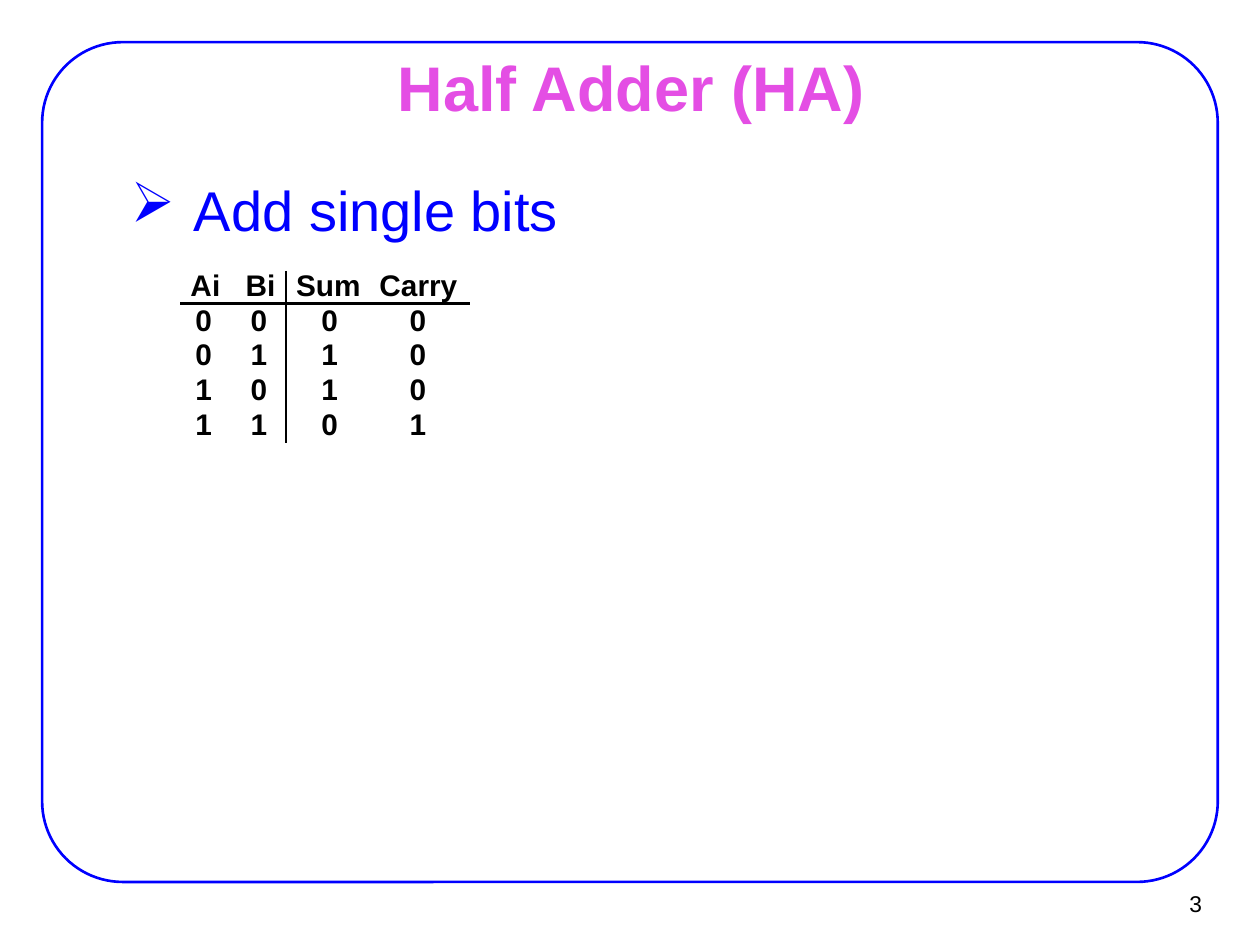
from lxml import etree
from pptx import Presentation
from pptx.dml.color import RGBColor
from pptx.enum import shapes, text
from pptx.oxml import ns
from pptx.util import Cm, Pt

BLUE = RGBColor(0x00, 0x00, 0xFF)
PINK = RGBColor(0xE4, 0x4E, 0xE4)
BLACK = RGBColor(0x00, 0x00, 0x00)
FONT = "Arial"

# Truth table: column edges and the indent of the digits in each column
COLUMN_EDGES = [3.84, 4.95, 5.97, 7.65, 9.47]
DIGIT_INDENTS = [0.1, 0.1, 0.51, 0.61]
TABLE_TOP = 5.43
ROW_HEIGHT = 0.7
ROWS = [
    ["Ai", "Bi", "Sum", "Carry"],
    ["0", "0", "0", "0"],
    ["0", "1", "1", "0"],
    ["1", "0", "1", "0"],
    ["1", "1", "0", "1"],
]


def add_span(para, words, size, color, bold=False):
    span = para.add_run()
    span.text = words
    span.font.name = FONT
    span.font.size = Pt(size)
    span.font.bold = bold
    span.font.color.rgb = color


def set_frame(frame, anchor, side=0.28, top=0.15):
    frame.word_wrap = True
    frame.auto_size = text.MSO_AUTO_SIZE.NONE
    frame.vertical_anchor = anchor
    frame.margin_left = frame.margin_right = Cm(side)
    frame.margin_top = frame.margin_bottom = Cm(top)


def add_border(page):
    border = page.shapes.add_shape(
        shapes.MSO_SHAPE.ROUNDED_RECTANGLE, Cm(0.85), Cm(0.85), Cm(23.7), Cm(16.93))
    border.adjustments[0] = 0.096
    border.shadow.inherit = False
    border.fill.background()
    border.line.color.rgb = BLUE
    border.line.width = Pt(1.5)


def add_title(page, words):
    title = page.shapes.title
    title.left, title.top, title.width, title.height = Cm(1.93), Cm(1.12), Cm(21.59), Cm(1.24)
    set_frame(title.text_frame, text.MSO_ANCHOR.MIDDLE)
    para = title.text_frame.paragraphs[0]
    para.alignment = text.PP_ALIGN.CENTER
    add_span(para, words, 36, PINK, bold=True)


def add_bullet(page, words):
    box = page.shapes.add_textbox(Cm(1.09), Cm(3.38), Cm(19.2), Cm(3.15))
    set_frame(box.text_frame, text.MSO_ANCHOR.TOP)
    para = box.text_frame.paragraphs[0]
    para.space_before = Pt(6.4)
    add_span(para, words, 32, BLUE)
    # Hanging indent and arrow bullet
    properties = para._p.get_or_add_pPr()
    properties.set("marL", str(Cm(2.54)))
    properties.set("indent", str(-Cm(1.27)))
    etree.SubElement(properties, ns.qn("a:buChar")).set("char", "➢")


def add_truth_table(page):
    frame = page.shapes.add_table(
        len(ROWS), len(ROWS[0]), Cm(COLUMN_EDGES[0]), Cm(TABLE_TOP),
        Cm(COLUMN_EDGES[-1] - COLUMN_EDGES[0]), Cm(ROW_HEIGHT * len(ROWS)))
    table = frame.table
    table.first_row = table.horz_banding = False
    for column, left, right in zip(table.columns, COLUMN_EDGES, COLUMN_EDGES[1:]):
        column.width = Cm(right - left)
    for r, values in enumerate(ROWS):
        table.rows[r].height = Cm(ROW_HEIGHT)
        for c, value in enumerate(values):
            cell = table.cell(r, c)
            cell.fill.background()
            cell.margin_left = Cm(DIGIT_INDENTS[c] if r else 0)
            cell.margin_right = cell.margin_top = cell.margin_bottom = 0
            add_span(cell.text_frame.paragraphs[0], value, 17, BLACK, bold=True)


def add_rule(page, x1, y1, x2, y2):
    rule = page.shapes.add_connector(
        shapes.MSO_CONNECTOR.STRAIGHT, Cm(x1), Cm(y1), Cm(x2), Cm(y2))
    rule.line.color.rgb = BLACK
    rule.line.width = Pt(1.5)
    etree.SubElement(rule._element.spPr, ns.qn("a:effectLst"))


def add_page_number(page, number):
    box = page.shapes.add_textbox(Cm(22.91), Cm(17.75), Cm(1.55), Cm(0.94))
    set_frame(box.text_frame, text.MSO_ANCHOR.MIDDLE, side=0.23, top=0.1)
    para = box.text_frame.paragraphs[0]
    para.alignment = text.PP_ALIGN.RIGHT
    add_span(para, number, 13, BLACK)


def main():
    deck = Presentation()
    deck.slide_width, deck.slide_height = Cm(25.4), Cm(19.05)
    page = deck.slides.add_slide(deck.slide_layouts[5])

    # Frame and headings
    add_border(page)
    add_page_number(page, "3")
    add_title(page, "Half Adder (HA)")
    add_bullet(page, "Add single bits")

    # Truth table with its header rule and input/output divider
    add_truth_table(page)
    add_rule(page, 3.63, 6.12, 9.47, 6.12)
    add_rule(page, 5.77, 5.46, 5.77, 8.94)

    deck.save("out.pptx")


if __name__ == "__main__":
    main()
